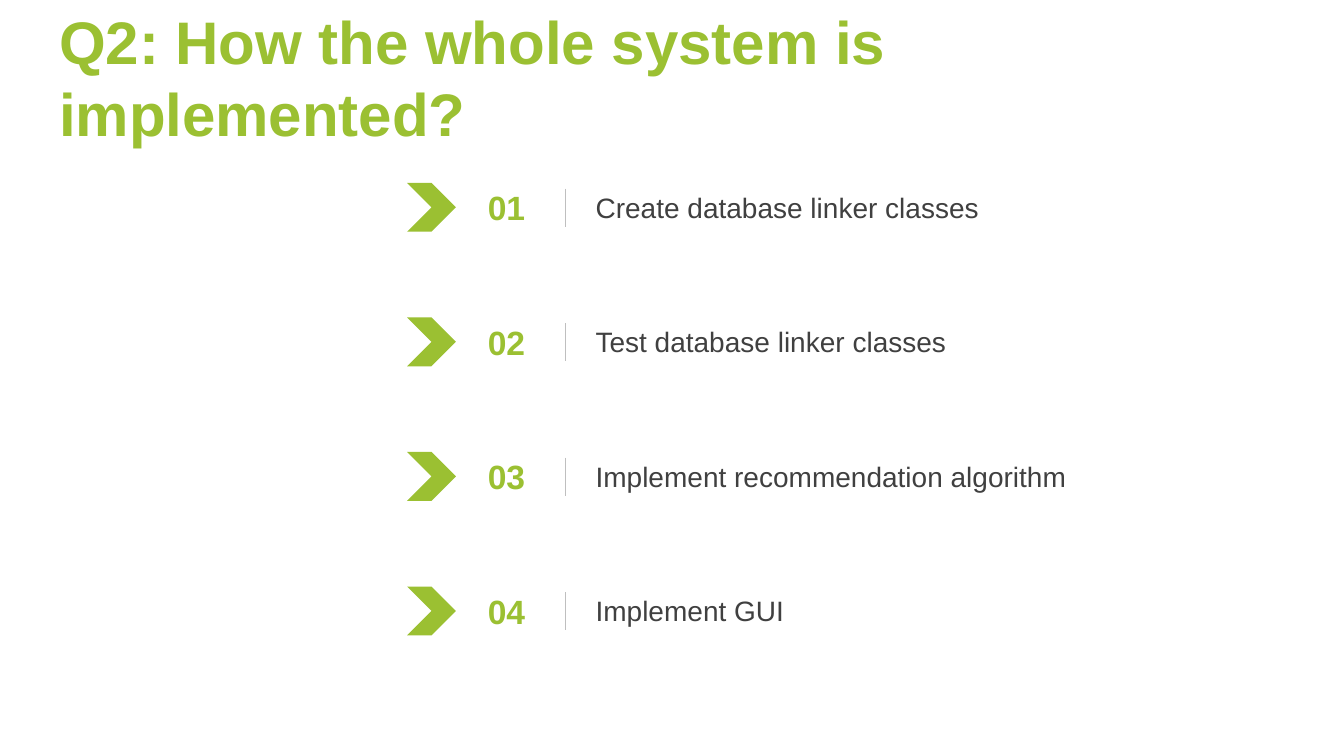
from dataclasses import dataclass

from lxml import etree
from pptx import Presentation
from pptx import util as u
from pptx.dml.color import RGBColor
from pptx.enum import shapes, text
from pptx.oxml.ns import qn


@dataclass(frozen=True)
class Theme:
    font: str = "Arial"
    background: str = "FFFFFF"
    accent: str = "9BC032"
    body: str = "404040"
    divider: str = "BFBFBF"
    title_size: float = 42.9
    number_size: float = 24
    label_size: float = 20
    divider_width: float = 0.5


THEME = Theme()
TITLE = "Q2: How the whole system is implemented?"
STEPS = [
    "Create database linker classes",
    "Test database linker classes",
    "Implement recommendation algorithm",
    "Implement GUI",
]
FIRST_ROW_TOP = 4.01
ROW_PITCH = 3.39
ROW_HEIGHT = 2.42


def add_text(slide, content, left, top, width, height, *, size, color,
             bold=False, align=text.PP_ALIGN.LEFT, line_spacing=1.0):
    shape = slide.shapes.add_textbox(u.Cm(left), u.Cm(top), u.Cm(width), u.Cm(height))
    frame = shape.text_frame
    frame.word_wrap = True
    frame.vertical_anchor = text.MSO_ANCHOR.MIDDLE
    paragraph = frame.paragraphs[0]
    paragraph.alignment = align
    paragraph.line_spacing = line_spacing
    run = paragraph.add_run()
    run.text = content
    run.font.name = THEME.font
    run.font.size = u.Pt(size)
    run.font.bold = bold
    run.font.color.rgb = RGBColor.from_string(color)


def add_chevron(slide, left, top, size):
    shape = slide.shapes.add_shape(
        shapes.MSO_SHAPE.CHEVRON, u.Cm(left), u.Cm(top), u.Cm(size), u.Cm(size))
    shape.shadow.inherit = False
    shape.fill.solid()
    shape.fill.fore_color.rgb = RGBColor.from_string(THEME.accent)
    shape.line.fill.background()


def add_divider(slide, left, top, length):
    connector = slide.shapes.add_connector(
        shapes.MSO_CONNECTOR.STRAIGHT,
        u.Cm(left), u.Cm(top), u.Cm(left), u.Cm(top + length))
    connector.line.color.rgb = RGBColor.from_string(THEME.divider)
    connector.line.width = u.Pt(THEME.divider_width)
    etree.SubElement(connector._element.spPr, qn("a:effectLst"))


def add_step(slide, number, label, top):
    add_text(slide, f"{number:02d}", 11.48, top, 2.57, ROW_HEIGHT,
             size=THEME.number_size, color=THEME.accent, bold=True,
             align=text.PP_ALIGN.CENTER)
    add_divider(slide, 14.25, top + 0.74, 0.96)
    add_text(slide, label, 14.76, top, 13.41, ROW_HEIGHT,
             size=THEME.label_size, color=THEME.body)
    add_chevron(slide, 10.26, top + 0.6, 1.23)


def main():
    presentation = Presentation()
    presentation.slide_width = u.Cm(33.87)
    presentation.slide_height = u.Cm(19.05)
    slide = presentation.slides.add_slide(presentation.slide_layouts[6])
    slide.background.fill.solid()
    slide.background.fill.fore_color.rgb = RGBColor.from_string(THEME.background)
    for index, label in enumerate(STEPS):
        add_step(slide, index + 1, label, FIRST_ROW_TOP + index * ROW_PITCH)
    add_text(slide, TITLE, 1.24, 0.64, 31.37, 2.57,
             size=THEME.title_size, color=THEME.accent, bold=True)
    presentation.save("out.pptx")


if __name__ == "__main__":
    main()
